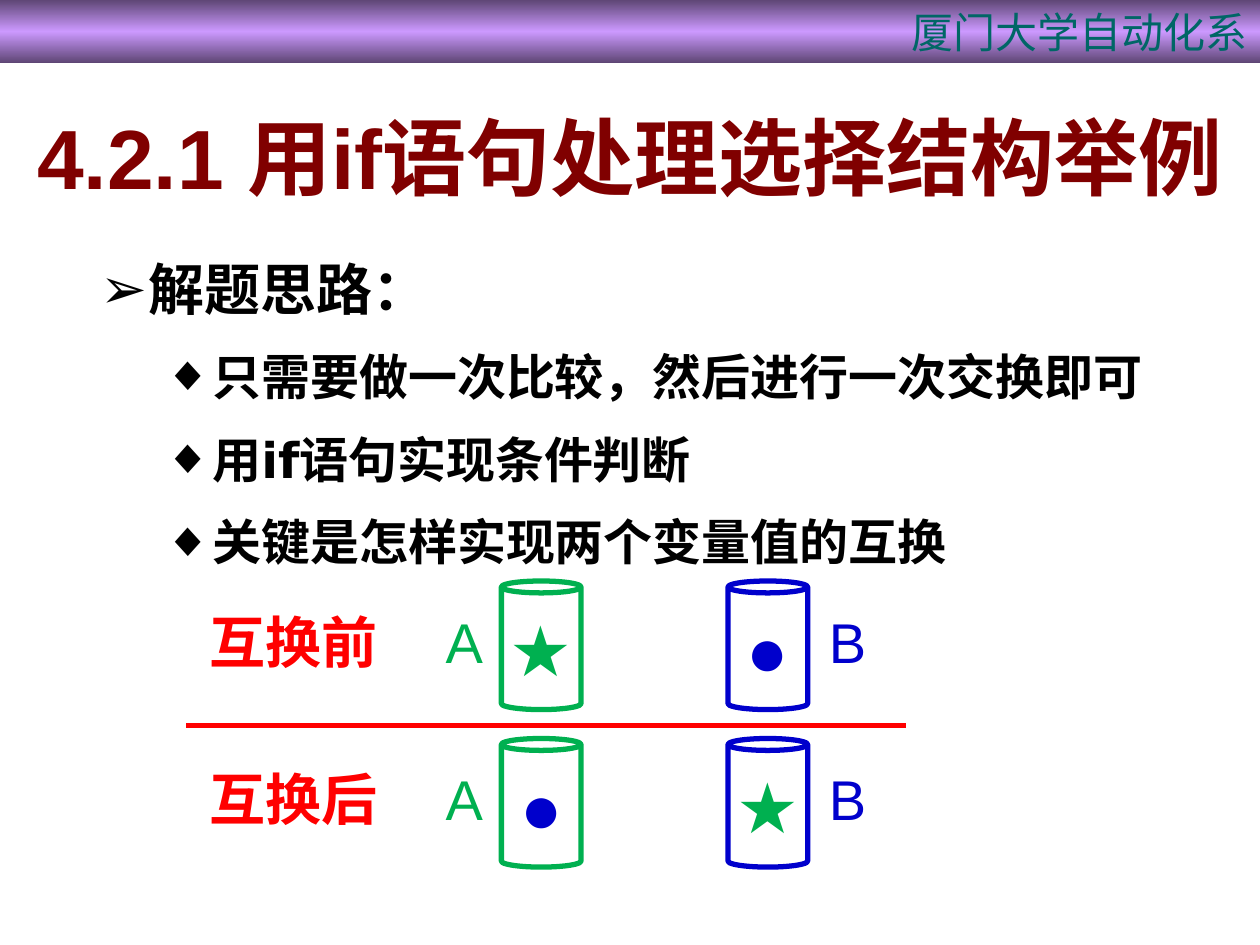
import copy

import pptx
import pptx.dml.color
import pptx.enum.shapes
import pptx.enum.text
import pptx.oxml
import pptx.oxml.ns
import pptx.util

Pt = pptx.util.Pt
ALIGN = pptx.enum.text.PP_ALIGN
ANCHOR = pptx.enum.text.MSO_ANCHOR
SHAPE = pptx.enum.shapes.MSO_SHAPE
NAMESPACE = pptx.oxml.ns.nsdecls("a")

GREEN, BLUE, RED, BLACK = "00B050", "0000CC", "FF0000", "000000"
HEADER = "厦门大学自动化系"
HEADER_STOPS = [(0, "5E4675"), (0.5, "CC99FF"), (1, "5E4675")]
TITLE = "4.2.1 用if语句处理选择结构举例"
OUTLINE = [
    ("解题思路：", 0),
    ("只需要做一次比较，然后进行一次交换即可", 1),
    ("用if语句实现条件判断", 1),
    ("关键是怎样实现两个变量值的互换", 1),
]
LEVELS = [
    {"bullet": "➢", "margin": 27, "indent": -27, "size": 32, "before": 8},
    {"bullet": "◆", "margin": 58.5, "indent": -22.5, "size": 28, "before": 7},
]
STAR, DOT = ("★", GREEN), ("●", BLUE)
STAGES = [("互换前", [STAR, DOT]), ("互换后", [DOT, STAR])]
CUPS = [("A", GREEN, 286.5, 247.5), ("B", BLUE, 416, 466.5)]
STAGE_TOP, STAGE_STEP = 332, 90
LABEL_OFFSET = 11.5


def color(value):
    return pptx.dml.color.RGBColor.from_string(value)


def apply(target, values):
    for name, value in values.items():
        setattr(target, name, value)


def write(paragraph, text, size, hue, bold=False, name="Arial", align=ALIGN.LEFT):
    paragraph.alignment = align
    run = paragraph.add_run()
    run.text = text
    apply(run.font, {"size": Pt(size), "bold": bold, "name": name})
    run.font.color.rgb = color(hue)
    return run


def add_text_box(slide, left, top, width, height):
    shape = slide.shapes.add_textbox(Pt(left), Pt(top), Pt(width), Pt(height))
    shape.text_frame.word_wrap = True
    return shape.text_frame


def add_header(slide):
    shape = slide.shapes.add_shape(SHAPE.RECTANGLE, 0, 0, Pt(720), Pt(36))
    shape.shadow.inherit = False
    shape.line.fill.background()
    shape.fill.gradient()
    shape.fill.gradient_angle = 270
    stops = shape._element.xpath(".//a:gsLst")[0]
    stops.append(copy.deepcopy(stops[0]))
    for stop, (position, hue) in zip(shape.fill.gradient_stops, HEADER_STOPS):
        stop.position = position
        stop.color.rgb = color(hue)
    write(shape.text_frame.paragraphs[0], HEADER, 24, "006666", align=ALIGN.RIGHT)


def format_title(title):
    apply(title, {"left": Pt(6), "top": Pt(28), "width": Pt(708), "height": Pt(122.5)})
    apply(title.text_frame, {
        "word_wrap": True,
        "auto_size": pptx.enum.text.MSO_AUTO_SIZE.NONE,
        "vertical_anchor": ANCHOR.MIDDLE,
    })
    run = write(title.text_frame.paragraphs[0], TITLE, 48, "800000", True, align=ALIGN.CENTER)
    shadow = pptx.oxml.parse_xml(
        f'<a:effectLst {NAMESPACE}><a:outerShdw dist="35921" dir="2700000">'
        '<a:srgbClr val="C0C0C0"/></a:outerShdw></a:effectLst>'
    )
    run._r.xpath("./a:rPr/a:solidFill")[0].addnext(shadow)


def add_outline(slide):
    frame = add_text_box(slide, 50.5, 134.5, 613.5, 202.5)
    for index, (text, level) in enumerate(OUTLINE):
        style = LEVELS[level]
        paragraph = frame.add_paragraph() if index else frame.paragraphs[0]
        properties = paragraph._p.get_or_add_pPr()
        properties.set("marL", str(Pt(style["margin"])))
        properties.set("indent", str(Pt(style["indent"])))
        for tag in (
            f'<a:buClr {NAMESPACE}><a:srgbClr val="{BLACK}"/></a:buClr>',
            f'<a:buFont {NAMESPACE} typeface="Arial"/>',
            f'<a:buChar {NAMESPACE} char="{style["bullet"]}"/>',
        ):
            properties.append(pptx.oxml.parse_xml(tag))
        apply(paragraph, {
            "level": level,
            "line_spacing": 1.2,
            "space_before": Pt(style["before"] if index else 0),
        })
        write(paragraph, text, style["size"], BLACK, True, "DejaVu Sans")


def add_cup(slide, left, top, hue, content):
    shape = slide.shapes.add_shape(SHAPE.CAN, Pt(left), Pt(top), Pt(45.5), Pt(73.5))
    shape.adjustments[0] = 0.15
    shape.shadow.inherit = False
    shape.fill.solid()
    shape.fill.fore_color.rgb = color("FFFFFF")
    shape.line.color.rgb = color(hue)
    shape.line.width = Pt(3)
    shape.text_frame.word_wrap = False
    symbol, symbol_hue = content
    write(shape.text_frame.paragraphs[0], symbol, 40, symbol_hue, align=ALIGN.CENTER)


def add_label(slide, left, top, width, text, hue, bold=False):
    frame = add_text_box(slide, left, top + LABEL_OFFSET, width, 46)
    write(frame.paragraphs[0], text, 32, hue, bold)


def add_divider(slide):
    line = slide.shapes.add_connector(
        pptx.enum.shapes.MSO_CONNECTOR.STRAIGHT, Pt(106.5), Pt(414.5), Pt(517.5), Pt(414.5)
    )
    line.line.color.rgb = color(RED)
    line.line.width = Pt(3)
    line._element.spPr.append(pptx.oxml.parse_xml(f"<a:effectLst {NAMESPACE}/>"))


def main():
    presentation = pptx.Presentation()
    apply(presentation, {"slide_width": Pt(720), "slide_height": Pt(540)})
    slide = presentation.slides.add_slide(presentation.slide_layouts[5])
    add_header(slide)
    format_title(slide.shapes.title)
    add_outline(slide)
    for index, (stage, contents) in enumerate(STAGES):
        top = STAGE_TOP + index * STAGE_STEP
        add_label(slide, 112.5, top, 112.5, stage, RED, True)
        for (name, hue, left, label_left), content in zip(CUPS, contents):
            add_cup(slide, left, top, hue, content)
            add_label(slide, label_left, top, 34, name, hue)
    add_divider(slide)
    presentation.save("out.pptx")


if __name__ == "__main__":
    main()
